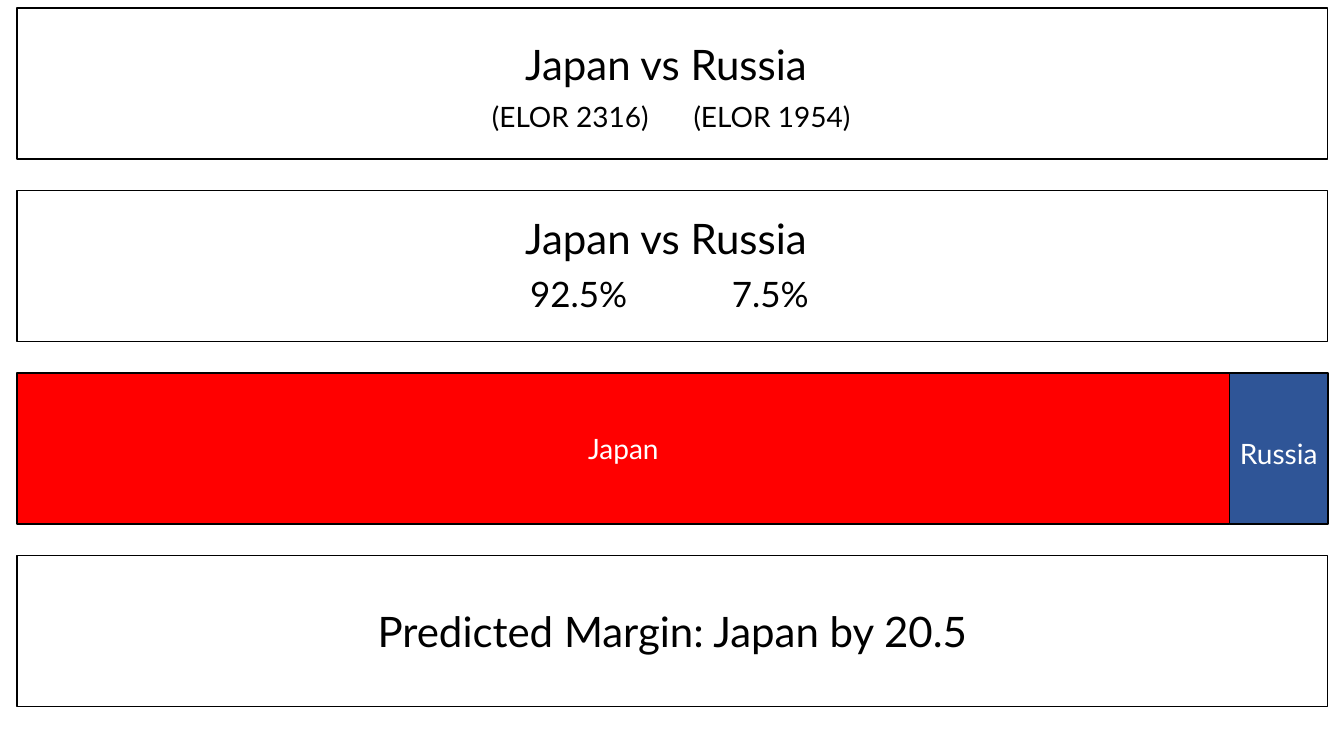
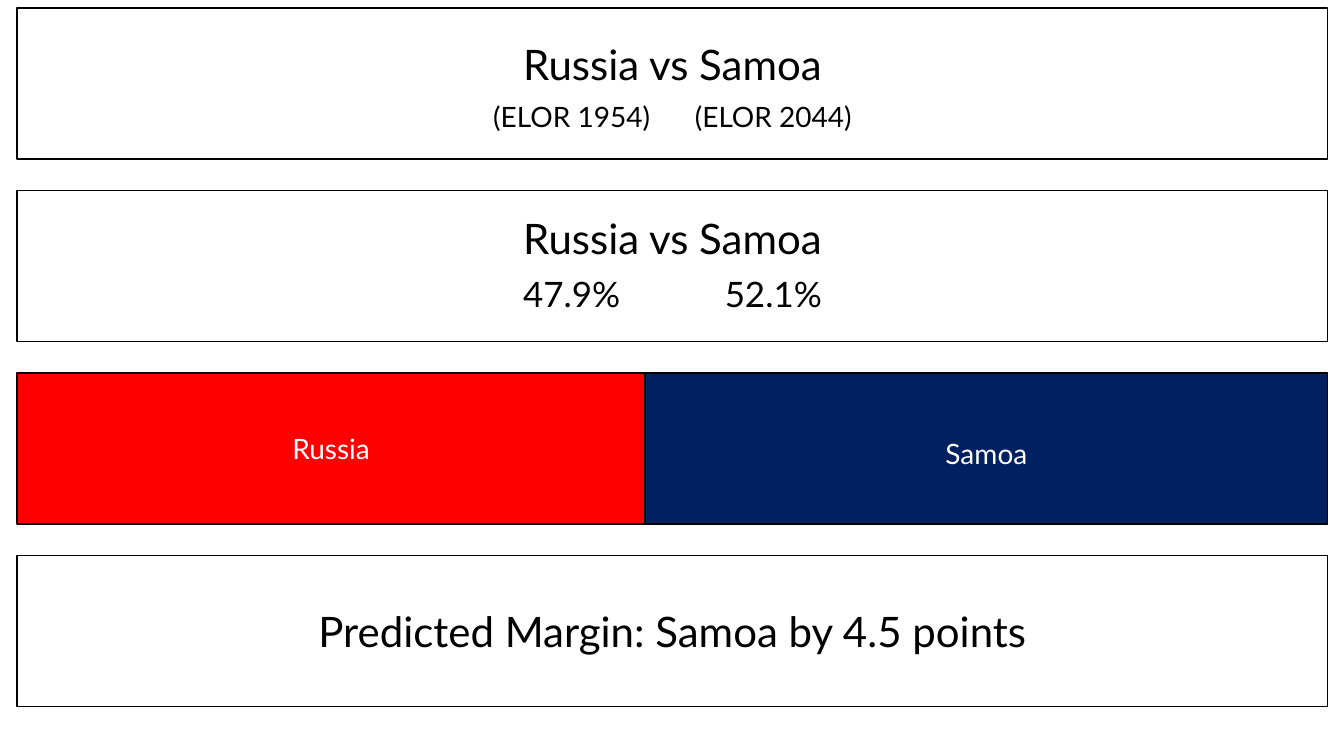
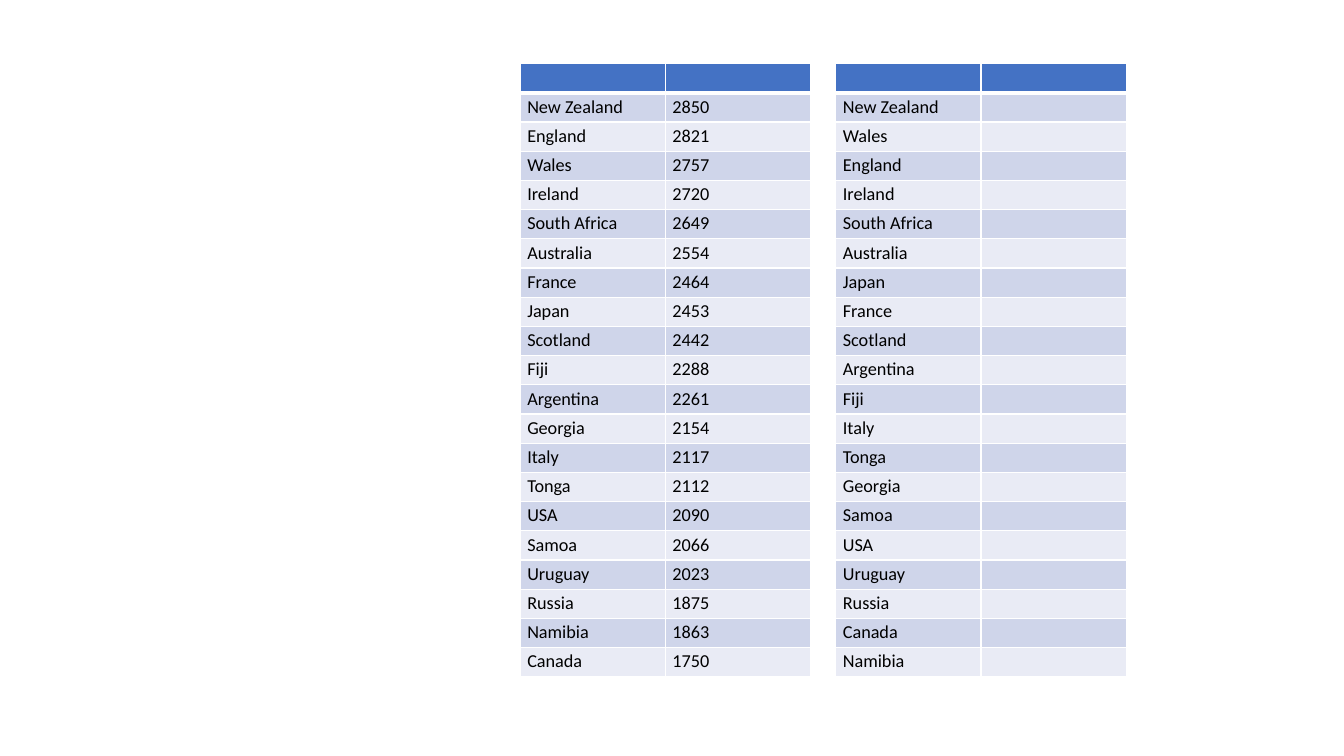
from itertools import zip_longest

from lxml.etree import SubElement
from pptx import Presentation
from pptx.dml.color import RGBColor
from pptx.enum.shapes import MSO_SHAPE
from pptx.enum.text import MSO_AUTO_SIZE, PP_ALIGN
from pptx.oxml.ns import qn
from pptx.util import Inches, Pt

COLOURS = {
    "black": "000000", "white": "FFFFFF", "red": "FF0000",
    "blue": "2F5597", "navy": "002060",
    "header": "4472C4", "odd": "CFD5EA", "even": "E9EBF5",
}

# Grid of four equal bands, in inches
BAND_LEFT, BAND_TOP, BAND_WIDTH, BAND_HEIGHT = 0.17, 0.08, 13, 1.5
BAND_PITCH = 1.81
TEAMS_ROW, CHANCES_ROW, BAR_ROW, MARGIN_ROW = range(4)

# Grid of the ranking tables, in inches
TABLE_LEFT, TABLE_TOP, TABLE_PITCH = 5.16, 0.63, 3.13
COLUMN_WIDTH, ROW_HEIGHT = 1.44, 0.29

TEXT_SIZES = {"title": 30, "chance": 25, "small": 20}
TEXT_HEIGHTS = {"title": 0.61, "chance": 0.52, "small": 0.44}
CELL_FORMAT = {"margin_left": Inches(0.07), "margin_right": Inches(0.07),
               "margin_top": Inches(0.03), "margin_bottom": Inches(0.03)}
CELL_FONT = {"name": "Calibri", "size": Pt(13)}

# A box of None spans the band and centres its text
MATCHES = [
    {
        "teams": ("Japan", "Russia"), "ratings": (2316, 1954),
        "chances": (92.5, 7.5), "second_colour": "blue",
        "margin": "Japan by 20.5",
        "boxes": {"title": (5.11, 3.11), "small": (4.78, 3.78),
                  "chance": (5.16, 3)},
    },
    {
        "teams": ("Russia", "Samoa"), "ratings": (1954, 2044),
        "chances": (47.9, 52.1), "second_colour": "navy",
        "margin": "Samoa by 4.5 points",
        "boxes": {"title": None, "small": None, "chance": None},
    },
]

RATED_TEAMS = {
    "New Zealand": 2850, "England": 2821, "Wales": 2757, "Ireland": 2720,
    "South Africa": 2649, "Australia": 2554, "France": 2464, "Japan": 2453,
    "Scotland": 2442, "Fiji": 2288, "Argentina": 2261, "Georgia": 2154,
    "Italy": 2117, "Tonga": 2112, "USA": 2090, "Samoa": 2066,
    "Uruguay": 2023, "Russia": 1875, "Namibia": 1863, "Canada": 1750,
}
RANKED_TEAMS = [
    "New Zealand", "Wales", "England", "Ireland", "South Africa",
    "Australia", "Japan", "France", "Scotland", "Argentina", "Fiji",
    "Italy", "Tonga", "Georgia", "Samoa", "USA", "Uruguay", "Russia",
    "Canada", "Namibia",
]


def colour(name):
    return RGBColor.from_string(COLOURS[name])


def apply_format(target, values):
    for name, value in values.items():
        setattr(target, name, value)


def band_top(row):
    return BAND_TOP + row * BAND_PITCH


def add_band(slide, row, left=BAND_LEFT, width=BAND_WIDTH, fill=None):
    shape = slide.shapes.add_shape(
        MSO_SHAPE.RECTANGLE, Inches(left), Inches(band_top(row)),
        Inches(width), Inches(BAND_HEIGHT))
    shape.shadow.inherit = False
    shape.line.color.rgb = colour("black")
    shape.line.width = Pt(1)
    if fill:
        shape.fill.solid()
        shape.fill.fore_color.rgb = colour(fill)
    else:
        shape.fill.background()


def add_text(slide, text, style, row, offset, box=None,
             span=(BAND_LEFT, BAND_WIDTH), text_colour="black"):
    left, width = box or span
    shape = slide.shapes.add_textbox(
        Inches(left), Inches(band_top(row) + offset),
        Inches(width), Inches(TEXT_HEIGHTS[style]))
    apply_format(shape.text_frame, {
        "word_wrap": box is None,
        "auto_size": MSO_AUTO_SIZE.SHAPE_TO_FIT_TEXT})
    paragraph = shape.text_frame.paragraphs[0]
    paragraph.alignment = PP_ALIGN.LEFT if box else PP_ALIGN.CENTER
    if "\t" in text:
        tabs = SubElement(paragraph._p.get_or_add_pPr(), qn("a:tabLst"))
        for stop in (1, 2):
            SubElement(tabs, qn("a:tab"), pos=str(Inches(stop)), algn="l")
    run = paragraph.add_run()
    run.text = text
    apply_format(run.font, {"name": "Lato", "size": Pt(TEXT_SIZES[style])})
    run.font.color.rgb = colour(text_colour)


def add_match(slide, match):
    boxes = match["boxes"]
    first_chance, second_chance = match["chances"]
    title = " vs ".join(match["teams"])
    ratings = "\t".join(f"(ELOR {rating})" for rating in match["ratings"])

    # Framed text bands
    for row in (TEAMS_ROW, CHANCES_ROW, MARGIN_ROW):
        add_band(slide, row)
    add_text(slide, title, "title", TEAMS_ROW, 0.25, boxes["title"])
    add_text(slide, ratings, "small", TEAMS_ROW, 0.86, boxes["small"])
    add_text(slide, title, "title", CHANCES_ROW, 0.17, boxes["title"])
    add_text(slide, f"{first_chance}%\t\t{second_chance}%", "chance",
             CHANCES_ROW, 0.76, boxes["chance"])
    add_text(slide, f"Predicted Margin: {match['margin']}", "title",
             MARGIN_ROW, 0.45)

    # Bar divided by the chances of winning
    left = BAND_LEFT
    fills = ("red", match["second_colour"])
    for team, chance, fill, offset in zip(
            match["teams"], match["chances"], fills, (0.53, 0.58)):
        width = BAND_WIDTH * chance / 100
        add_band(slide, BAR_ROW, left, width, fill)
        add_text(slide, team, "small", BAR_ROW, offset,
                 span=(left, width), text_colour="white")
        left += width


def add_borders(cell, bottom_width):
    properties = cell._tc.get_or_add_tcPr()
    for side, width in zip("LRTB", (1, 1, 1, bottom_width)):
        line = SubElement(properties, qn(f"a:ln{side}"), w=str(Pt(width)))
        fill = SubElement(line, qn("a:solidFill"))
        SubElement(fill, qn("a:srgbClr"), val=COLOURS["white"])


def fill_cell(cell, text, fill, bottom_width):
    apply_format(cell, CELL_FORMAT)
    add_borders(cell, bottom_width)
    cell.fill.solid()
    cell.fill.fore_color.rgb = colour(fill)
    paragraph = cell.text_frame.paragraphs[0]
    if text:
        run = paragraph.add_run()
        run.text = text
        apply_format(run.font, CELL_FONT)
        run.font.color.rgb = colour("black")
    else:
        # Keeps an empty row as low as the others
        SubElement(paragraph._p, qn("a:endParaRPr"),
                   sz=str(int(CELL_FONT["size"].pt * 100)))


def add_ranking(slide, position, teams, ratings=()):
    rows = [("", "")] + list(zip_longest(teams, ratings, fillvalue=""))
    table = slide.shapes.add_table(
        len(rows), 2, Inches(TABLE_LEFT + position * TABLE_PITCH),
        Inches(TABLE_TOP), Inches(2 * COLUMN_WIDTH),
        Inches(len(rows) * ROW_HEIGHT)).table
    for row_number, values in enumerate(rows):
        table.rows[row_number].height = Inches(ROW_HEIGHT)
        band = "odd" if row_number % 2 else "even"
        fill, bottom_width = (band, 1) if row_number else ("header", 3)
        for column, value in enumerate(values):
            fill_cell(table.cell(row_number, column), str(value),
                      fill, bottom_width)


def main():
    presentation = Presentation()
    apply_format(presentation, {"slide_width": Inches(13.33),
                                "slide_height": Inches(7.5)})
    blank = presentation.slide_layouts[6]

    # Match predictions
    for match in MATCHES:
        add_match(presentation.slides.add_slide(blank), match)

    # Rankings
    slide = presentation.slides.add_slide(blank)
    add_ranking(slide, 0, RATED_TEAMS, RATED_TEAMS.values())
    add_ranking(slide, 1, RANKED_TEAMS)

    presentation.save("out.pptx")


if __name__ == "__main__":
    main()
